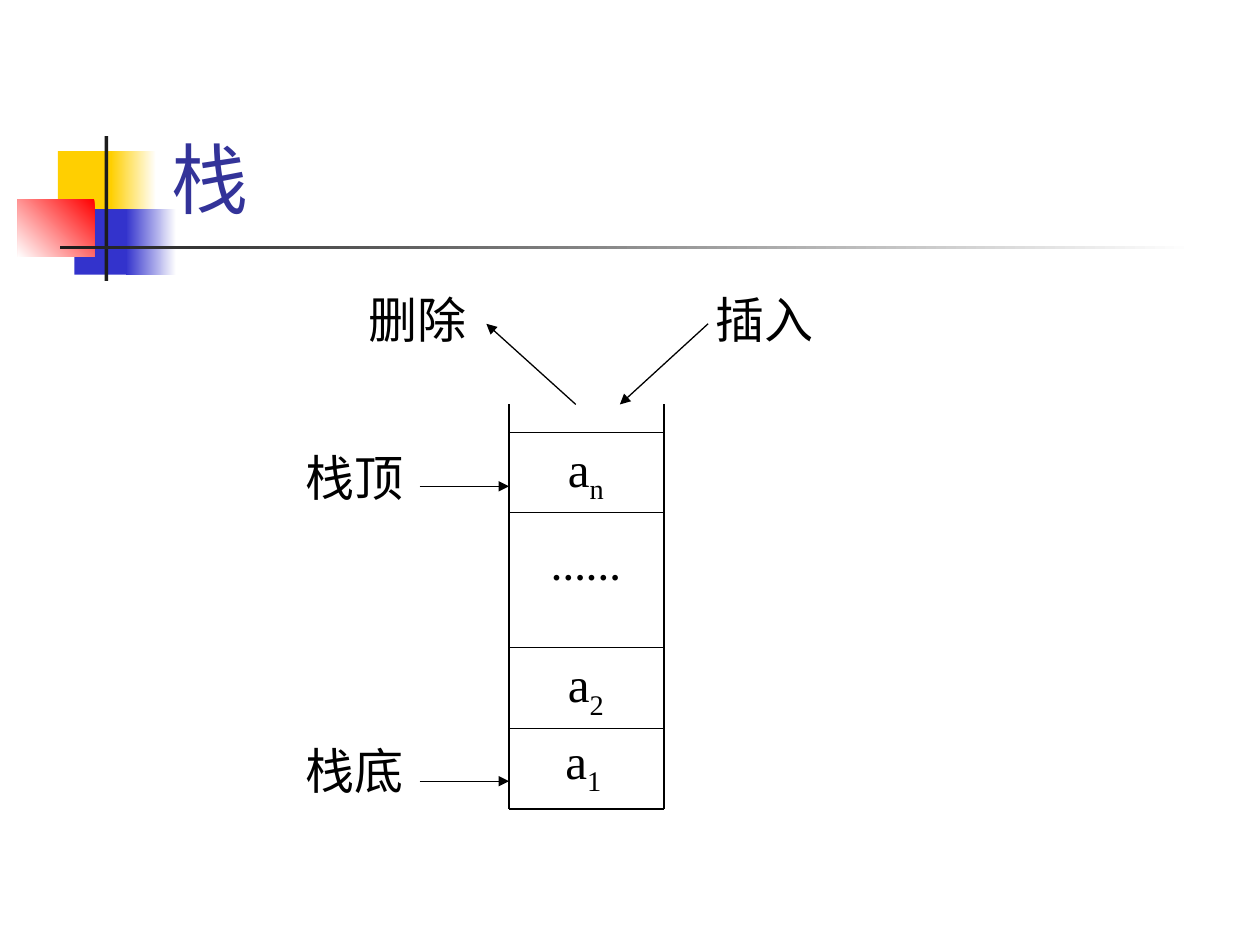
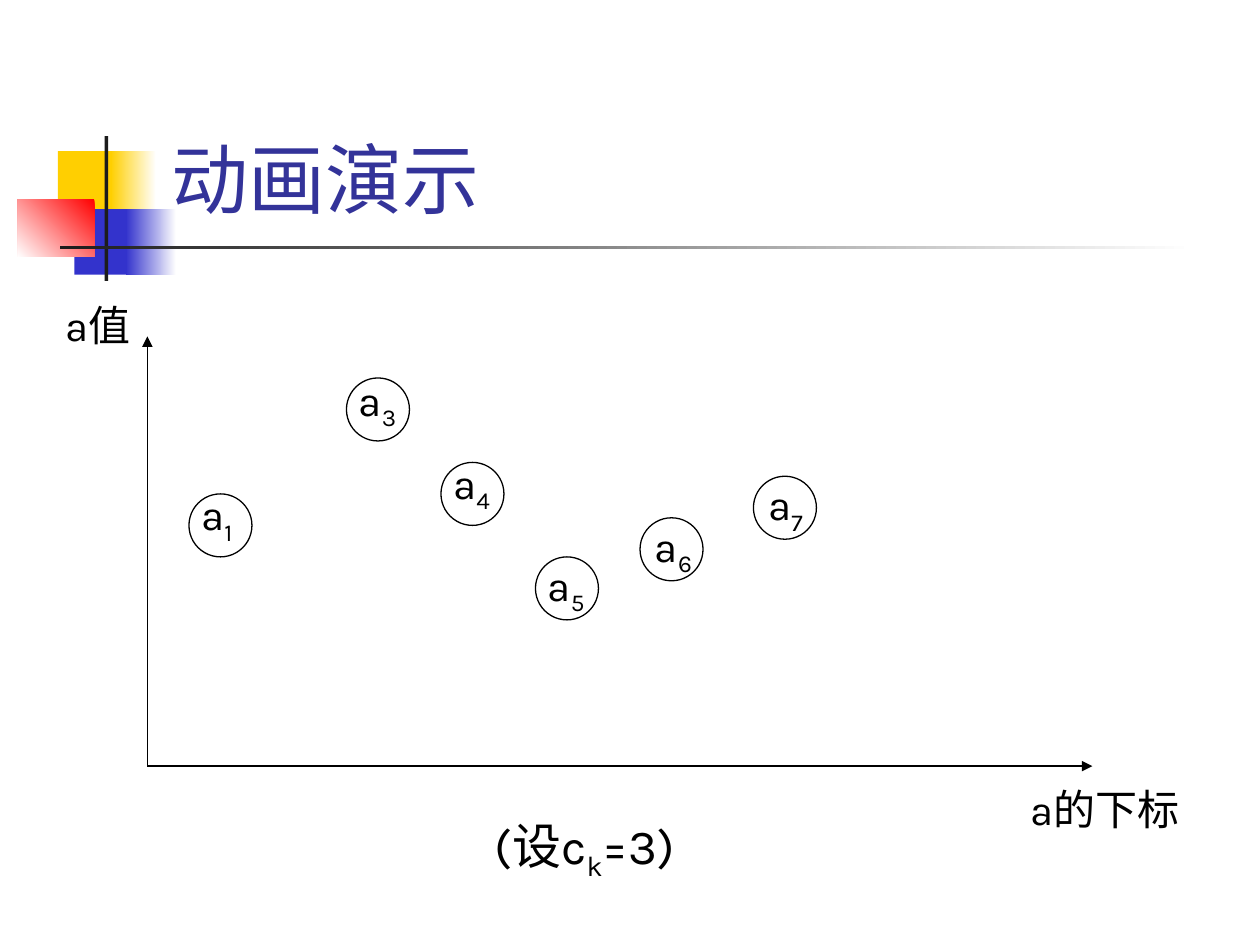
from collections import namedtuple

from lxml.etree import SubElement
from pptx import Presentation
from pptx.dml.color import RGBColor
from pptx.enum.shapes import MSO_CONNECTOR as Link, MSO_SHAPE as Shape
from pptx.enum.text import MSO_ANCHOR as Anchor, PP_ALIGN as Align
from pptx.oxml.ns import qn
from pptx.util import Pt

PX = 9144  # EMU in one px, 100 px to the inch
Box = namedtuple("Box", "left top width height")

BLACK = RGBColor(0x00, 0x00, 0x00)
WHITE = RGBColor(0xFF, 0xFF, 0xFF)
YELLOW = RGBColor(0xFF, 0xCF, 0x01)
BLUE = RGBColor(0x33, 0x33, 0xCC)
RED = RGBColor(0xFF, 0x00, 0x00)
CHARCOAL = RGBColor(0x1C, 0x1C, 0x1C)
NAVY = RGBColor(0x33, 0x33, 0x99)

SANS, SERIF = "Karla", "Times New Roman"
TITLE = dict(name=SANS, size=Pt(44), color=NAVY)
LABEL = dict(name=SANS, size=Pt(28), color=BLACK)
SMALL = dict(LABEL, size=Pt(24))
CELL = dict(LABEL, name=SERIF)
DOTS = dict(CELL, size=Pt(20), bold=True)


def emu(*lengths):
    return [round(length * PX) for length in lengths]


def add_text(page, box, parts, style, align=Align.LEFT, anchor=Anchor.TOP):
    """Write parts into box; every second part is a subscript."""
    frame = page.shapes.add_textbox(*emu(*box)).text_frame
    frame.word_wrap = True
    frame.vertical_anchor = anchor
    para = frame.paragraphs[0]
    para.alignment = align
    for number, part in enumerate(parts):
        span = para.add_run()
        span.text = part
        for key, value in style.items():
            if key == "color":
                span.font.color.rgb = value
            else:
                setattr(span.font, key, value)
        if number % 2:
            span.font._element.set("baseline", "-25000")


def add_line(page, start, end, arrow=False):
    line = page.shapes.add_connector(Link.STRAIGHT, *emu(*start, *end))
    line.line.color.rgb = BLACK
    line.line.width = Pt(0.75)
    if arrow:
        SubElement(line.line._get_or_add_ln(), qn("a:tailEnd"), type="triangle")
    SubElement(line._element.spPr, qn("a:effectLst"))


def add_block(page, box, colors, angle=180):
    """Fill a rectangle with one colour, or fade between two."""
    block = page.shapes.add_shape(Shape.RECTANGLE, *emu(*box))
    block.shadow.inherit = False
    block.line.fill.background()
    if len(colors) == 1:
        block.fill.solid()
        block.fill.fore_color.rgb = colors[0]
        return
    block.fill.gradient()
    block.fill.gradient_angle = angle
    for stop, color in zip(block.fill.gradient_stops, colors):
        stop.color.rgb = color


def add_header(page, box, title):
    # Overlapping colour blocks
    for x, y, width, height, *fill in (
        (32, 12, 48, 52, [YELLOW]),
        (74, 12, 36, 52, [WHITE, YELLOW]),
        (45, 58, 46, 52, [BLUE]),
        (86, 58, 40, 52, [WHITE, BLUE]),
        (0, 50, 61, 46, [RED, WHITE], 225),
        (69, 0, 3, 115, [CHARCOAL]),
        (34, 87, 900, 3, [WHITE, CHARCOAL]),
    ):
        add_block(page, (box.left + x, box.top + y, width, height), *fill)
    # Title, standing on the fading rule
    add_text(page, (box.left + 112, box.top - 85, 852, 160), [title], TITLE,
             anchor=Anchor.BOTTOM)


def add_stack(page, box):
    right, bottom = box.left + box.width, box.top + box.height
    row = 64
    levels = [bottom, bottom - row, bottom - 2 * row, box.top + 22 + row, box.top + 22]

    # Open container and its cells
    for x in (box.left, right):
        add_line(page, (x, box.top), (x, bottom))
    for y in levels:
        add_line(page, (box.left, y), (right, y))
    for shift, y, parts, style in (
        (15, levels[1] - 3, ["a", "1"], CELL),
        (17, levels[2], ["a", "2"], CELL),
        (17, levels[3] + 21, ["……"], DOTS),
        (17, levels[4], ["a", "n"], CELL),
    ):
        add_text(page, (box.left + shift, y, 88, row), parts, style, Align.CENTER)

    # Insert and delete arrows at the mouth, pointers to both ends
    for start, end in (
        ((158, -64), (88, 0)),
        ((53, 0), (-18, -64)),
        ((-71, 299), (0, 299)),
        ((-71, 65), (0, 65)),
    ):
        add_line(page, *((box.left + x, box.top + y) for x, y in (start, end)), arrow=True)
    for x, y, caption in (
        (-121, -96, "删除"),
        (154, -96, "插入"),
        (-171, 29, "栈顶"),
        (-171, 262, "栈底"),
    ):
        add_text(page, (box.left + x, box.top + y, 133, 57), [caption], LABEL)


def add_plot(page, box):
    bottom = box.top + box.height
    origin = (box.left, bottom)

    # Axes with their names
    add_line(page, origin, (box.left + box.width, bottom), arrow=True)
    add_line(page, origin, (box.left, box.top), arrow=True)
    add_text(page, (box.left - 75, box.top - 34, 92, 50), ["a值"], SMALL)
    add_text(page, (box.left + 691, bottom + 9, 142, 90), ["a的下标"], SMALL)

    # Numbered points: circle place, then label shift
    for index, x, y, shift_x, shift_y in (
        (1, 33, 125, 0, -9),
        (3, 158, 33, 0, -8),
        (4, 233, 100, 0, -9),
        (5, 308, 175, 0, -3),
        (6, 391, 144, 2, -3),
        (7, 481, 111, 2, -3),
    ):
        left, top = box.left + x, box.top + y
        circle = page.shapes.add_shape(Shape.OVAL, *emu(left, top, 50, 50))
        circle.shadow.inherit = False
        circle.fill.background()
        circle.line.color.rgb = BLACK
        circle.line.width = Pt(0.75)
        add_text(page, (left + shift_x, top + shift_y, 83, 56), ["a", str(index)], SMALL)

    # Assumption below the plot
    add_text(page, (box.left + 266, bottom + 34, 175, 110), ["(设c", "k", "=3)"], LABEL)


def main():
    deck = Presentation()
    deck.slide_width, deck.slide_height = emu(1000, 750)
    header = Box(14, 108, 934, 115)
    for title, add_figure, box in (
        ("栈", add_stack, Box(404, 321, 123, 321)),
        ("动画演示", add_plot, Box(117, 267, 750, 341)),
    ):
        page = deck.slides.add_slide(deck.slide_layouts[6])
        add_header(page, header, title)
        add_figure(page, box)
    deck.save("out.pptx")


if __name__ == "__main__":
    main()
